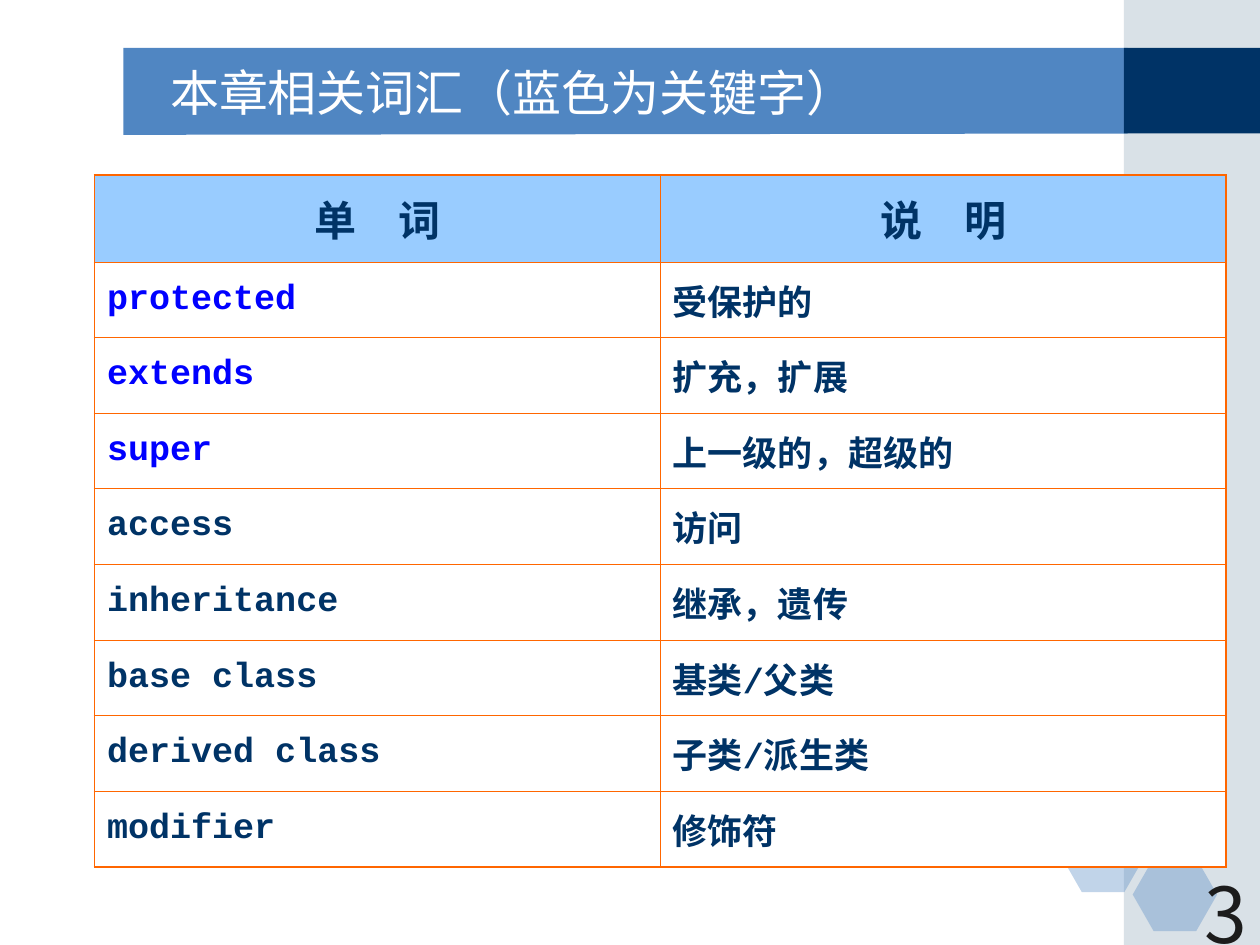
from dataclasses import dataclass
from lxml.etree import SubElement as Sub
from pptx import Presentation
from pptx.dml.color import RGBColor
from pptx.enum.shapes import MSO_SHAPE as Kind
from pptx.enum.text import MSO_ANCHOR as Anchor, MSO_AUTO_SIZE as Fit, PP_ALIGN as Align
from pptx.oxml.ns import qn
from pptx.util import Inches, Pt

NAVY, BLUE, PALE, SKY = "003366", "5086C2", "A0B5C4", "99CCFF"
WHITE, KEY, RIM, INK = "FFFFFF", "0000FF", "FF6600", "1C1C1C"
CODE, SANS, HAN = "Courier New", "DejaVu Sans", "Noto Sans CJK SC"
WIDE, HIGH = 10, 7.5
EDGE = 8.92


@dataclass
class Block:
    kind: Kind
    left: float
    top: float
    width: float
    height: float
    color: str
    alpha: int = 100


@dataclass
class Word:
    term: str
    note: str
    key: bool = False


BLOCKS = [
    Block(Kind.RECTANGLE, EDGE, 0, WIDE - EDGE, HIGH, PALE, 40),
    Block(Kind.RECTANGLE, EDGE, 0.38, WIDE - EDGE, 0.68, NAVY),
] + [
    Block(Kind.HEXAGON, left, top, 0.67, 0.58, BLUE, 35)
    for left, top in [(8.42, 6.5), (9, 6.17), (8.99, 6.81)]
]

WORDS = [
    Word("protected", "受保护的", True),
    Word("extends", "扩充，扩展", True),
    Word("super", "上一级的，超级的", True),
    Word("access", "访问"),
    Word("inheritance", "继承，遗传"),
    Word("base class", "基类/父类"),
    Word("derived class", "子类/派生类"),
    Word("modifier", "修饰符"),
]


def paint(fill, color: str) -> None:
    fill.solid()
    fill.fore_color.rgb = RGBColor.from_string(color)


def clean(shape, color: str) -> None:
    shape.shadow.inherit = False
    paint(shape.fill, color)
    shape.line.fill.background()


def draw(shapes, block: Block) -> None:
    box = map(Inches, (block.left, block.top, block.width, block.height))
    shape = shapes.add_shape(block.kind, *box)
    clean(shape, block.color)
    if block.kind == Kind.HEXAGON:
        shape.adjustments[0] = 0.286
    if block.alpha < 100:
        tint = shape.fill._xPr.find(".//" + qn("a:srgbClr"))
        Sub(tint, qn("a:alpha"), val=str(block.alpha * 1000))


def write(frame, text: str, size: int, color: str, font: str,
          align=Align.LEFT, bold: bool = False, gap: int = 0) -> None:
    para = frame.paragraphs[0]
    para.alignment = align
    para.space_before = Pt(gap)
    run = para.add_run()
    run.text = text
    run.font.size = Pt(size)
    run.font.bold = bold
    run.font.name = font
    run.font.color.rgb = RGBColor.from_string(color)
    Sub(run.font._element, qn("a:ea"), typeface=HAN)


def rule(cell, side: str, width: float) -> None:
    props = cell._tc.get_or_add_tcPr()
    line = Sub(props, qn("a:ln" + side), w=str(Pt(width)))
    Sub(Sub(line, qn("a:solidFill")), qn("a:srgbClr"), val=RIM)


def grid(shapes, words: list[Word]) -> None:
    rows = len(words) + 1
    box = map(Inches, (0.75, 1.39, 8.98, 5.51))
    table = shapes.add_table(rows, 2, *box).table
    table.first_row = table.horz_banding = False
    for col in table.columns:
        col.width = Inches(4.49)
    for num, row in enumerate(table.rows):
        row.height = Inches(0.6 if num else 0.69)
        word = words[num - 1] if num else Word("单\u3000词", "说\u3000明")
        for col, text in enumerate((word.term, word.note)):
            cell = table.cell(num, col)
            outer = {"L": col == 0, "R": col == 1,
                     "T": num == 0, "B": num == rows - 1}
            for side, thick in outer.items():
                rule(cell, side, 1.08 if thick else 0.74)
            paint(cell.fill, WHITE if num else SKY)
            cell.vertical_anchor = Anchor.MIDDLE
            cell.margin_left = cell.margin_right = Inches(0.1)
            cell.margin_top = cell.margin_bottom = Inches(0.05)
            color = KEY if word.key and col == 0 else NAVY
            size, align, gap = (20, Align.LEFT, 5) if num else (24, Align.CENTER, 6)
            write(cell.text_frame, text, size, color, CODE, align, True, gap)


def place(shape, left: float, top: float, width: float, height: float) -> None:
    shape.left, shape.top = Inches(left), Inches(top)
    shape.width, shape.height = Inches(width), Inches(height)


deck = Presentation()
deck.slide_width, deck.slide_height = Inches(WIDE), Inches(HIGH)
slide = deck.slides.add_slide(deck.slide_layouts[5])
shapes = slide.shapes
paint(slide.background.fill, WHITE)

path = shapes.build_freeform(Inches(0.98), Inches(0.38))
path.add_line_segments(
    [(Inches(x), Inches(y)) for x, y in [(8.95, 0.38), (8.95, 1.06), (0.98, 1.07)]])
clean(path.convert_to_shape(), BLUE)
for block in BLOCKS:
    draw(shapes, block)

title = shapes.title
place(title, 1.25, 0.42, 7.33, 0.62)
title.text_frame.auto_size = Fit.NONE
title.text_frame.vertical_anchor = Anchor.MIDDLE
write(title.text_frame, "本章相关词汇（蓝色为关键字）", 28, WHITE, SANS)
shapes._spTree.append(title._element)

page = shapes.add_textbox(*map(Inches, (7.92, 6.83, 2.08, 0.5)))
page.text_frame.word_wrap = True
write(page.text_frame, "3", 44, INK, HAN, Align.RIGHT)

grid(shapes, WORDS)
deck.save("out.pptx")
